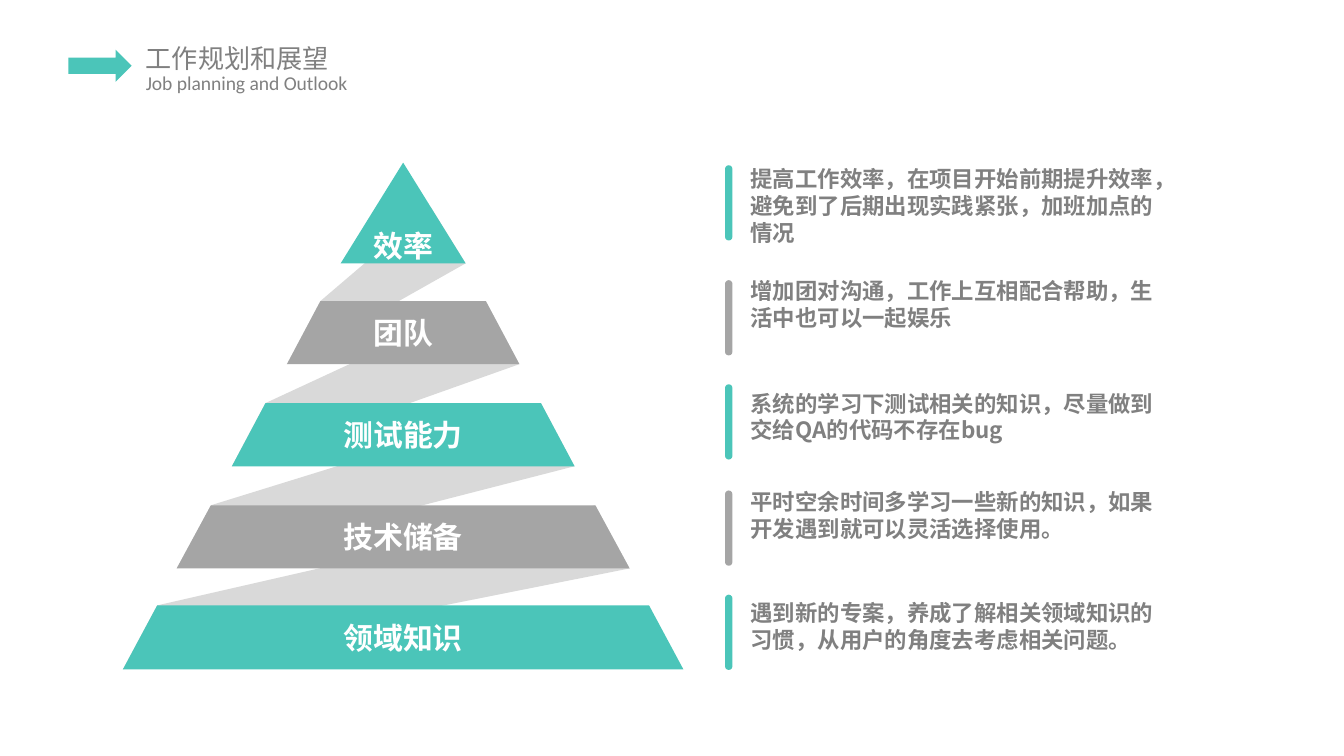
from dataclasses import dataclass

from lxml.etree import SubElement
from pptx import Presentation
from pptx.dml.color import RGBColor
from pptx.enum.shapes import MSO_SHAPE as Preset
from pptx.enum.text import MSO_ANCHOR as Anchor, MSO_AUTO_SIZE as AutoSize, PP_ALIGN as Align
from pptx.oxml.ns import qn
from pptx.util import Pt

EMU_PER_PX = 4572


@dataclass(frozen=True)
class Theme:
    teal: str = "4BC5B9"
    grey: str = "A5A5A5"
    ribbon: str = "D9D9D9"
    text: str = "808080"
    white: str = "FFFFFF"
    chinese: str = "Noto Sans CJK SC"
    latin: str = "Calibri"
    title_size: float = 14
    subtitle_size: float = 10.5
    label_size: float = 16
    note_size: float = 12


THEME = Theme()

TIERS = [
    ("效率", 0, 150, THEME.teal),
    ("团队", 206, 300, THEME.grey),
    ("测试能力", 358, 452, THEME.teal),
    ("技术储备", 510, 604, THEME.grey),
    ("领域知识", 659, 754, THEME.teal),
]
NOTES = [
    ("提高工作效率，在项目开始前期提升效率，避免到了后期出现实践紧张，加班加点的情况", 4, 0, 128),
    ("增加团对沟通，工作上互相配合帮助，生活中也可以一起娱乐", 175, 167, 88),
    ("系统的学习下测试相关的知识，尽量做到交给QA的代码不存在bug", 330, 334, 88),
    ("平时空余时间多学习一些新的知识，如果开发遇到就可以灵活选择使用。", 488, 480, 88),
    ("遇到新的专案，养成了解相关领域知识的习惯，从用户的角度去考虑相关问题。", 643, 646, 88),
]


def px(*lengths):
    return [round(length * EMU_PER_PX) for length in lengths]


def paint(shape, color):
    shape.shadow.inherit = False
    shape.fill.solid()
    shape.fill.fore_color.rgb = RGBColor.from_string(color)
    shape.line.fill.background()


def write(shape, text, size, color, font_name=THEME.chinese, bold=False, align=Align.LEFT,
          anchor=Anchor.TOP, margins=(0, 0), wrap=True, auto_size=AutoSize.NONE):
    frame = shape.text_frame
    frame.text = text
    frame.margin_left, frame.margin_top = frame.margin_right, frame.margin_bottom = px(*margins)
    frame.word_wrap = wrap
    frame.auto_size = auto_size
    frame.vertical_anchor = anchor
    paragraph = frame.paragraphs[0]
    paragraph.alignment = align
    font = paragraph.font
    font.size, font.bold, font.name = Pt(size), bold, font_name
    font.color.rgb = RGBColor.from_string(color)
    SubElement(font._element, qn("a:ea"), typeface=font_name)


def add_polygon(shapes, points, color):
    builder = shapes.build_freeform(*points[0], scale=EMU_PER_PX)
    builder.add_line_segments(points[1:], close=True)
    paint(builder.convert_to_shape(), color)


def add_header(slide, left, top):
    title = slide.shapes.title
    title.left, title.top, title.width, title.height = px(left + 93, top, 318, 68)
    write(title, "工作规划和展望", THEME.title_size, THEME.text,
          margins=(22, 10), wrap=False, auto_size=AutoSize.SHAPE_TO_FIT_TEXT)
    subtitle = slide.shapes.add_textbox(*px(left + 93, top + 42, 346, 56))
    write(subtitle, "Job planning and Outlook", THEME.subtitle_size, THEME.text, THEME.latin,
          margins=(22, 10), wrap=False, auto_size=AutoSize.SHAPE_TO_FIT_TEXT)
    arrow = slide.shapes.add_shape(Preset.RIGHT_ARROW, *px(left, top + 21, 94, 48))
    paint(arrow, THEME.teal)


def half_width(y):
    return round(0.62 * y if y <= 150 else 123 + 0.537 * (y - 206))


def add_pyramid(slide, left, top, width):
    center = left + width // 2

    def corner(side, y):
        return center + side * half_width(y), top + y

    for upper, lower in zip(TIERS, TIERS[1:]):
        shoulder = upper[1] or 66
        add_polygon(slide.shapes, [corner(1, shoulder), corner(-1, lower[1]),
                                   corner(-1, lower[2]), corner(1, upper[2])], THEME.ribbon)

    for label, start, end, color in TIERS:
        group = slide.shapes.add_group_shape()
        add_polygon(group.shapes, [corner(-1, start), corner(1, start),
                                   corner(1, end), corner(-1, end)], color)
        half = half_width(start or end)
        label_top = top + end - (86 if start else 66)
        box = group.shapes.add_textbox(*px(center - half, label_top, 2 * half, 78))
        write(box, label, THEME.label_size, THEME.white, bold=True,
              align=Align.CENTER, anchor=Anchor.MIDDLE)


def add_notes(slide, left, top, width):
    for (text, bar_top, text_top, height), tier in zip(NOTES, TIERS):
        bar = slide.shapes.add_shape(Preset.ROUND_2_SAME_RECTANGLE,
                                     *px(left, top + bar_top, 11, 112))
        bar.adjustments[0] = bar.adjustments[1] = 0.5
        paint(bar, tier[3])
        box = slide.shapes.add_textbox(*px(left + 30, top + text_top, width - 30, height))
        write(box, text, THEME.note_size, THEME.text, bold=True, margins=(8, 4),
              auto_size=AutoSize.SHAPE_TO_FIT_TEXT)


def main():
    presentation = Presentation()
    presentation.slide_width, presentation.slide_height = px(2000, 1125)
    slide = presentation.slides.add_slide(presentation.slide_layouts[5])
    add_header(slide, 102, 53)
    add_pyramid(slide, 182, 242, 836)
    add_notes(slide, 1079, 242, 658)
    presentation.save("out.pptx")


if __name__ == "__main__":
    main()
